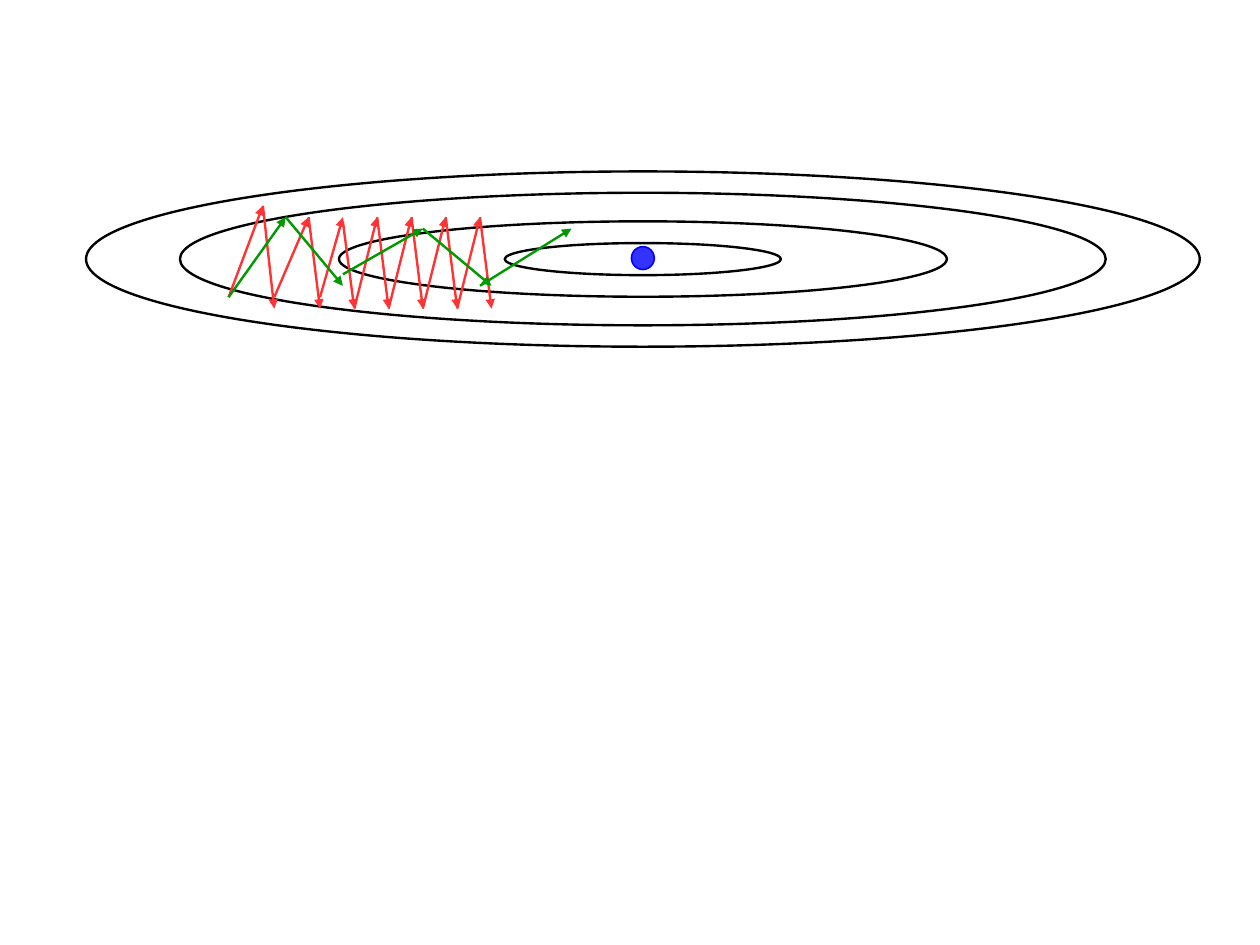
from pptx import Presentation
from pptx.dml.color import RGBColor
from pptx.enum.shapes import MSO_CONNECTOR, MSO_SHAPE
from pptx.oxml.ns import qn
from pptx.util import Pt
from lxml import etree

ELLIPSE = MSO_SHAPE.OVAL
STRAIGHT = MSO_CONNECTOR.STRAIGHT
BLACK, RED, GREEN = "000000", "FF3333", "009900"
DOT_FILL, DOT_LINE = "3333FF", "0000FF"


def color(value):
    return RGBColor.from_string(value)


class Diagram:
    line_width = 1.5

    def __init__(self, s):
        self.s = s

    def ellipse(self, shapes, center, size, line, width=line_width, fill=None):
        (cx, cy), (w, h) = center, size
        sp = shapes.add_shape(ELLIPSE, Pt(cx - w / 2), Pt(cy - h / 2), Pt(w), Pt(h))
        sp.shadow.inherit = False
        if fill:
            sp.fill.solid()
            sp.fill.fore_color.rgb = color(fill)
        else:
            sp.fill.background()
        sp.line.color.rgb = color(line)
        sp.line.width = Pt(width)

    def orbits(self, center, sizes):
        group = self.s.shapes.add_group_shape()
        for size in sizes:
            self.ellipse(group.shapes, center, size, BLACK)

    def arrow(self, start, end, line):
        cxn = self.s.shapes.add_connector(STRAIGHT, *(Pt(v) for v in start + end))
        cxn.line.color.rgb = color(line)
        cxn.line.width = Pt(self.line_width)
        ln = cxn._element.spPr.find(qn("a:ln"))
        etree.SubElement(ln, qn("a:tailEnd")).set("type", "triangle")
        etree.SubElement(cxn._element.spPr, qn("a:effectLst"))


def main():
    prs = Presentation()
    prs.slide_width, prs.slide_height = Pt(793.75), Pt(595.25)
    s = prs.slides.add_slide(prs.slide_layouts[6])
    diagram = Diagram(s)

    orbit_sizes = [(701.6, 110.4), (583.2, 83.5), (383, 47.5), (174, 20.2)]
    diagram.orbits((405, 163.2), orbit_sizes)
    diagram.ellipse(s.shapes, (405, 162.6), (14.4, 14.4), DOT_LINE, 1, DOT_FILL)

    high, low = 136.8, 194.4
    red_arrows = [
        ((144, 187.2), (165.6, 129.6)),
        ((165.6, 129.6), (172.8, low)),
        ((172.8, 187.2), (194.4, high)),
        ((194.4, high), (201.6, low)),
        ((201.6, 187.2), (216, high)),
        ((216, 139.7), (223.2, low)),
    ]
    for i in range(4):
        x = 223.2 + 21.6 * i
        peak = (x + 14.4, high)
        red_arrows += [((x, low), peak), (peak, (x + 21.6, low))]

    green_arrows = [
        ((144, 187.2), (180, 136.8)),
        ((180, 136.8), (216, 180)),
        ((216, 172.8), (266.4, 144)),
        ((266.4, 144), (309.6, 180)),
        ((302.4, 180), (360, 144)),
    ]
    for line, arrows in ((RED, red_arrows), (GREEN, green_arrows)):
        for start, end in arrows:
            diagram.arrow(start, end, line)

    prs.save("out.pptx")


if __name__ == "__main__":
    main()
